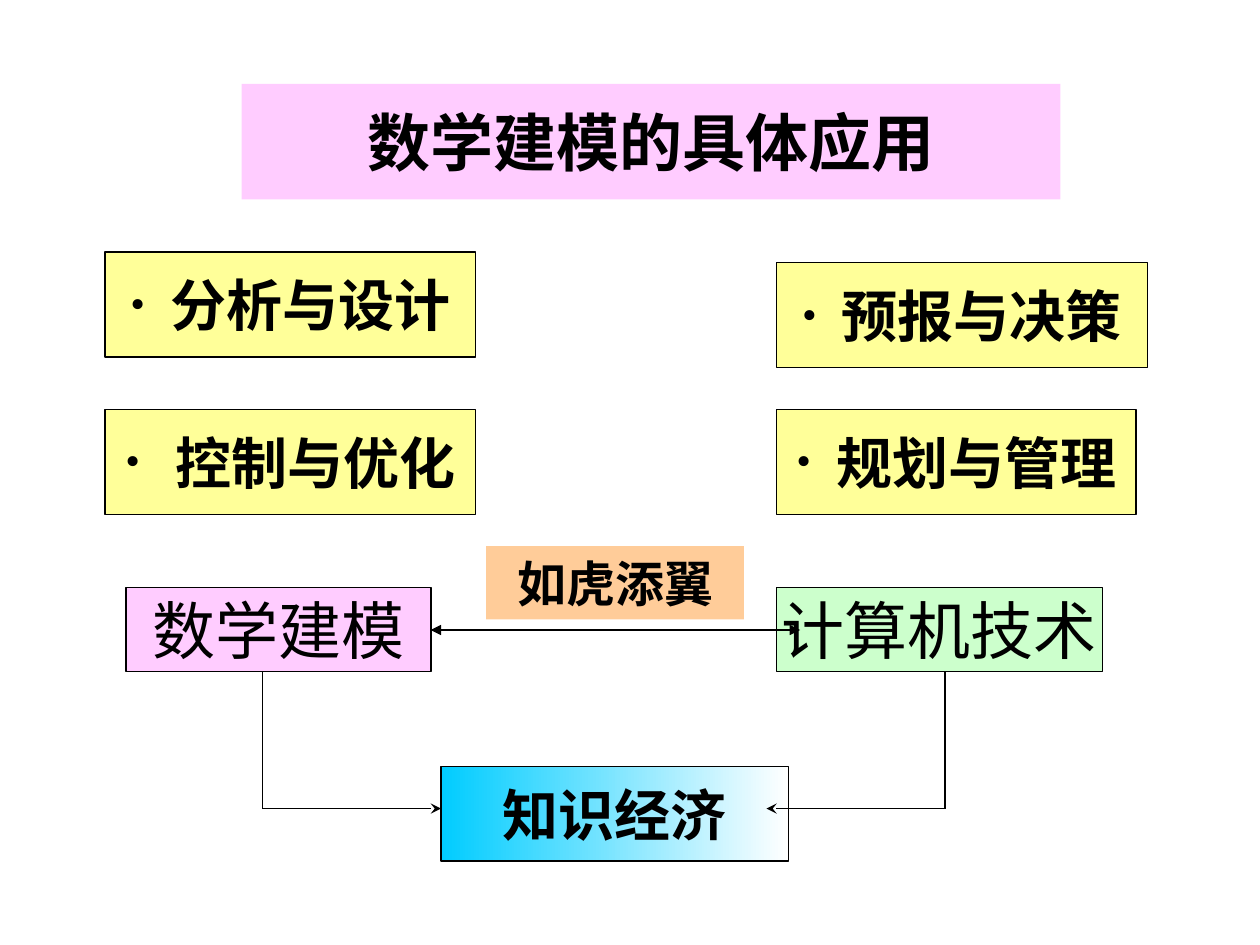
import pptx
import pptx.dml.color
import pptx.enum.shapes
import pptx.enum.text
import pptx.oxml
import pptx.oxml.ns
import pptx.util

Cm = pptx.util.Cm
Pt = pptx.util.Pt

BLACK = "000000"
PINK = "FFCCFF"
YELLOW = "FFFF99"


def color(text):
    return pptx.dml.color.RGBColor.from_string(text)


def child(parent, tag, **attrs):
    """Append a DrawingML element to parent and return it."""
    node = pptx.oxml.parse_xml(f"<a:{tag} {pptx.oxml.ns.nsdecls('a')}/>")
    for key, value in attrs.items():
        node.set(key, value)
    parent.append(node)
    return node


class Page:
    """Holds the shared style and the slide being built."""

    font = "Times New Roman"
    ink = BLACK
    width = Pt(0.75)

    def __init__(self, slide):
        self.slide = slide

    def box(self, text, left, top, wide, high, fill, size,
            bold=True, line=True, font=None, indent=None):
        """Add a filled box; fill is one colour or a pair for a gradient."""
        shape = self.slide.shapes.add_shape(
            pptx.enum.shapes.MSO_SHAPE.RECTANGLE,
            Cm(left), Cm(top), Cm(wide), Cm(high))
        shape.shadow.inherit = False
        if isinstance(fill, str):
            shape.fill.solid()
            shape.fill.fore_color.rgb = color(fill)
        else:
            shape.fill.gradient()
            shape.fill.gradient_angle = 0
            for stop, shade in zip(shape.fill.gradient_stops, fill):
                stop.color.rgb = color(shade)
        if line:
            shape.line.color.rgb = color(self.ink)
            shape.line.width = self.width
        else:
            shape.line.fill.background()

        frame = shape.text_frame
        frame.word_wrap = False
        frame.vertical_anchor = pptx.enum.text.MSO_ANCHOR.MIDDLE
        para = frame.paragraphs[0]
        para.text = text
        para.alignment = pptx.enum.text.PP_ALIGN.CENTER
        if indent:
            self.bullet(para, indent)
        para.font.name = font or self.font
        para.font.size = Pt(size)
        para.font.bold = bold
        para.font.color.rgb = color(self.ink)

    def bullet(self, para, indent):
        """Give the paragraph a small dot hanging by indent."""
        props = para._p.get_or_add_pPr()
        props.set("marL", str(Cm(indent)))
        props.set("indent", str(-Cm(indent)))
        child(child(props, "buClr"), "srgbClr", val=self.ink)
        child(props, "buSzPct", val="75000")
        child(props, "buFont", typeface=self.font)
        child(props, "buChar", char="•")

    def line(self, start, end, head=None, tail=None):
        """Draw a line; head is the arrow at start, tail the one at end."""
        link = self.slide.shapes.add_connector(
            pptx.enum.shapes.MSO_CONNECTOR.STRAIGHT,
            *[Cm(value) for value in (*start, *end)])
        link.line.color.rgb = color(self.ink)
        link.line.width = self.width
        stroke = link.line._get_or_add_ln()
        if head:
            child(stroke, "headEnd", type=head)
        if tail:
            child(stroke, "tailEnd", type=tail)
        child(link._element.spPr, "effectLst")


def main():
    deck = pptx.Presentation()
    deck.slide_width = Cm(25.4)
    deck.slide_height = Cm(19.05)
    page = Page(deck.slides.add_slide(deck.slide_layouts[6]))

    page.box("数学建模的具体应用", 4.87, 1.69, 16.51, 2.33, PINK, 36,
             line=False, font="Noto Sans CJK SC")

    near, far = 2.12, 15.66
    uses = [
        ("分析与设计", near, 5.08, 7.47, 0.8),
        ("预报与决策", far, 5.29, 7.47, 0.8),
        ("控制与优化", near, 8.25, 7.47, 1),
        ("规划与管理", far, 8.25, 7.24, 0.8),
    ]
    for text, left, top, wide, indent in uses:
        page.box(text, left, top, wide, 2.12, YELLOW, 32, indent=indent)

    page.box("数学建模", 2.54, 11.85, 6.15, 1.69, PINK, 36, bold=False)
    page.box("计算机技术", far, 11.85, 6.56, 1.69, "CCFFCC", 36, bold=False)
    page.box("知识经济", 8.89, 15.45, 7.01, 1.91, ("00CCFF", "FFFFFF"), 32)

    base, bend = 13.55, 16.3
    for side, goal in ((5.29, 8.89), (19.05, 15.45)):
        page.line((side, base), (side, bend))
        page.line((side, bend), (goal, bend), tail="stealth")

    page.line((8.68, 12.7), (16.13, 12.7), head="triangle", tail="triangle")
    page.box("如虎添翼", 9.8, 11.01, 5.2, 1.48, "FFCC99", 28, line=False)

    deck.save("out.pptx")


if __name__ == "__main__":
    main()
